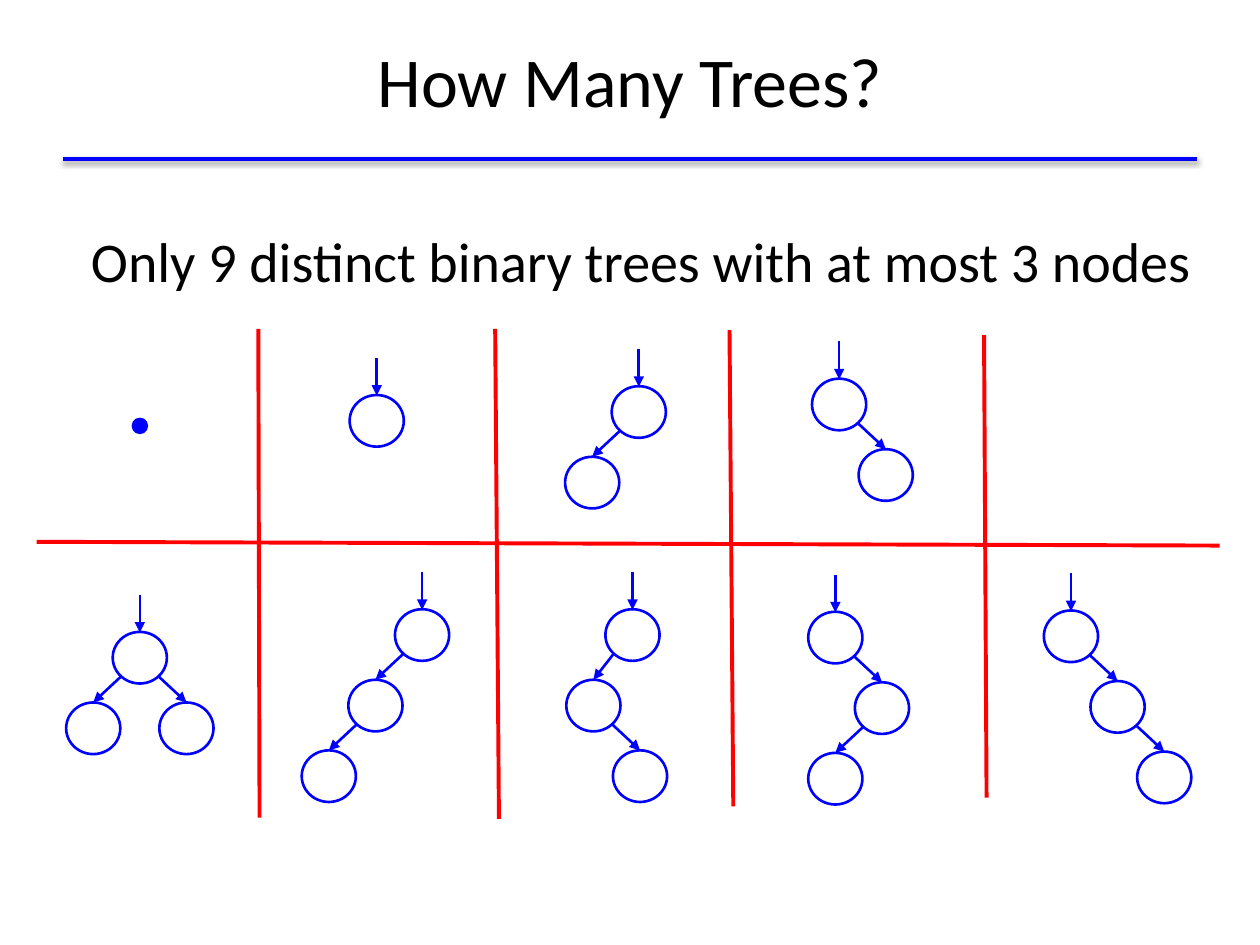
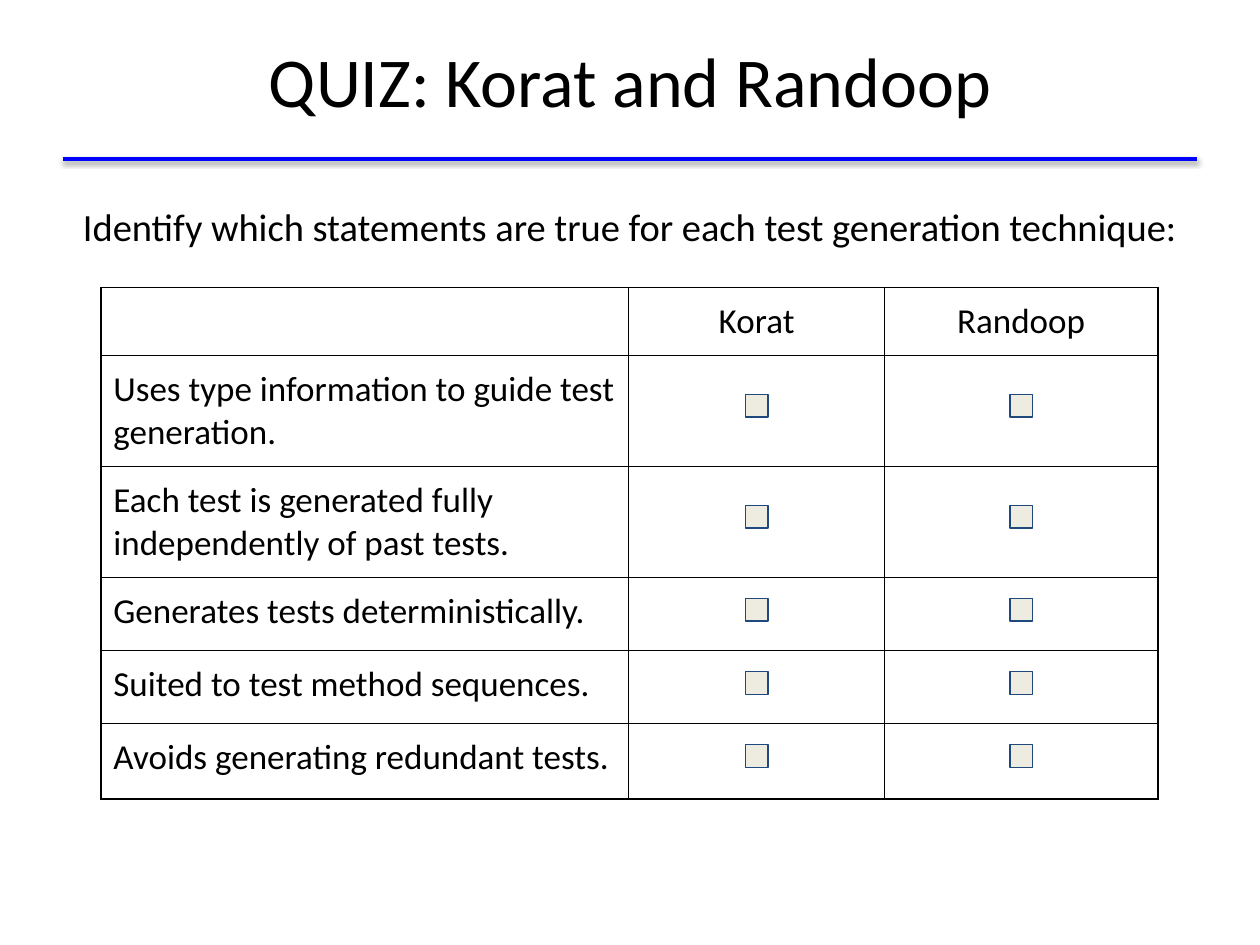
"""Build two lecture slides: the binary trees with at most three nodes, and a test generation quiz."""
from dataclasses import dataclass

from lxml.etree import SubElement
from pptx import Presentation
from pptx.dml.color import RGBColor as Rgb
from pptx.enum.shapes import MSO_CONNECTOR as Connector, MSO_SHAPE as Shape
from pptx.enum.text import MSO_ANCHOR as Anchor, MSO_AUTO_SIZE as AutoSize, PP_ALIGN as Align
from pptx.oxml.ns import qn
from pptx.util import Inches, Pt


@dataclass(frozen=True)
class Theme:
    font: str = "Calibri"
    ink: Rgb = Rgb(0, 0, 0)
    paper: Rgb = Rgb(255, 255, 255)
    blue: Rgb = Rgb(0, 0, 255)
    red: Rgb = Rgb(255, 0, 0)
    check_fill: Rgb = Rgb(0xEE, 0xEC, 0xE1)
    check_edge: Rgb = Rgb(0x1F, 0x49, 0x7D)
    title: int = 40
    statement: int = 32
    question: int = 22
    cell: int = 20


theme = Theme()
deck = Presentation()
deck.slide_width, deck.slide_height = Inches(10), Inches(7.5)
column = deck.slide_width / 10


def grid(*lengths):
    return [round(length * column) for length in lengths]


def draw_line(slide, ends, color, width, arrow=False):
    line = slide.shapes.add_connector(Connector.STRAIGHT, *grid(*ends))
    line.line.color.rgb = color
    line.line.width = Pt(width)
    properties = line.element.spPr
    if arrow:
        SubElement(properties.find(qn("a:ln")), qn("a:tailEnd"), type="triangle")
    return line, SubElement(properties, qn("a:effectLst"))


layout = deck.slide_layouts[1]
heading = layout.placeholders[0]
heading.left, heading.top, heading.width, heading.height = grid(0.5, 0.01, 9, 1.25)

pages = [
    ("How Many Trees?", "Only 9 distinct binary trees with at most 3 nodes",
     (0.5, 1.75, 9.18, 0.86), theme.statement, 0.38),
    ("QUIZ: Korat and Randoop", "Identify which statements are true for each test generation technique:",
     (0.5, 1.56, 9, 0.77), theme.question, 0),
]
for title, lead, area, lead_size, hanging in pages:
    slide = deck.slides.add_slide(layout)
    body = slide.placeholders[1]
    body.left, body.top, body.width, body.height = grid(*area)
    for holder, words, size in ((slide.shapes.title, title, theme.title), (body, lead, lead_size)):
        frame = holder.text_frame
        frame.text = words
        frame.auto_size = AutoSize.NONE
        paragraph = frame.paragraphs[0]
        paragraph.alignment = Align.CENTER
        font = paragraph.runs[0].font
        font.name, font.size, font.color.rgb = theme.font, Pt(size), theme.ink
    slide.shapes.title.text_frame.vertical_anchor = Anchor.MIDDLE
    indents = body.text_frame.paragraphs[0]._p.get_or_add_pPr()
    indents.set("marL", str(Inches(hanging)))
    indents.set("indent", str(-Inches(hanging)))
    SubElement(indents, qn("a:buNone"))

trees_slide, quiz_slide = deck.slides

title_rule, effects = draw_line(trees_slide, (0.5, 1.26, 9.5, 1.26), theme.blue, 2)
shadow = SubElement(effects, qn("a:outerShdw"), blurRad=str(Pt(3.1)), dist=str(Pt(1.6)),
                    dir="5400000", rotWithShape="0")
shade = SubElement(shadow, qn("a:srgbClr"), val=str(theme.ink))
SubElement(shade, qn("a:alpha"), val="38000")
layout.shapes.element.append(title_rule.element)

dividers = [
    (0.29, 4.3, 9.68, 4.33),
    (2.05, 2.61, 2.06, 6.49),
    (3.93, 2.61, 3.96, 6.5),
    (5.79, 2.62, 5.82, 6.4),
    (7.81, 2.66, 7.83, 6.33),
]
for divider in dividers:
    draw_line(trees_slide, divider, theme.red, 2.25)

node_width, node_height, empty_tree = 0.43, 0.41, 0.11
level, left, right = 0.56, -0.37, 0.37
trees = [
    (2.99, 3.34, []),
    (5.07, 3.27, [(0, left)]),
    (6.66, 3.21, [(0, right)]),
    (1.11, 5.22, [(0, left), (0, right)]),
    (3.35, 5.04, [(0, left), (1, left)]),
    (5.02, 5.04, [(0, -0.31), (1, right)]),
    (6.63, 5.06, [(0, right), (1, left)]),
    (8.5, 5.05, [(0, right), (1, right)]),
]
circles = [(1.11, 3.38, empty_tree, empty_tree, theme.blue)]
arrows = []
for root_x, root_y, branches in trees:
    nodes = [(root_x, root_y)]
    arrows.append((root_x, root_y - 0.5, root_x, root_y - 0.2))
    for parent, step in branches:
        x, y = nodes[parent]
        child_x, child_y = x + step, y + level
        nodes.append((child_x, child_y))
        side = 0.15 if step > 0 else -0.15
        arrows.append((x + side, y + 0.15, child_x, child_y - node_height / 2))
    circles += [(x, y, node_width, node_height, theme.paper) for x, y in nodes]

for x, y, width, height, fill in circles:
    node = trees_slide.shapes.add_shape(
        Shape.OVAL, *grid(x - width / 2, y - height / 2, width, height))
    node.shadow.inherit = False
    node.fill.solid()
    node.fill.fore_color.rgb = fill
    node.line.color.rgb, node.line.width = theme.blue, Pt(1.5)
for arrow in arrows:
    draw_line(trees_slide, arrow, theme.blue, 1.5, arrow=True)

statements = [
    ("", "Korat", "Randoop"),
    ("Uses type information to guide test generation.", "", ""),
    ("Each test is generated fully independently of past tests.", "", ""),
    ("Generates tests deterministically.", "", ""),
    ("Suited to test method sequences.", "", ""),
    ("Avoids generating redundant tests.", "", ""),
]
table_left, table_top = 0.8, 2.28
widths = [4.19, 2.03, 2.17]
heights = [0.54, 0.88, 0.88, 0.58, 0.58, 0.6]
quiz = quiz_slide.shapes.add_table(
    len(heights), len(widths), *grid(table_left, table_top, sum(widths), sum(heights))).table
quiz.first_row = quiz.horz_banding = False
for table_column, width in zip(quiz.columns, grid(*widths)):
    table_column.width = width
for table_row, height in zip(quiz.rows, grid(*heights)):
    table_row.height = height

for row, texts in enumerate(statements):
    for col, words in enumerate(texts):
        cell = quiz.cell(row, col)
        cell.margin_left = cell.margin_right = cell.margin_top = cell.margin_bottom = Inches(0.1)
        for edge in ("a:lnL", "a:lnR", "a:lnT", "a:lnB"):
            border = SubElement(cell._tc.get_or_add_tcPr(), qn(edge), w=str(Pt(1)))
            SubElement(SubElement(border, qn("a:solidFill")), qn("a:srgbClr"), val=str(theme.ink))
        cell.fill.background()
        cell.text_frame.text = words
        paragraph = cell.text_frame.paragraphs[0]
        paragraph.alignment = Align.CENTER if col else Align.LEFT
        for run in paragraph.runs:
            run.font.name, run.font.size = theme.font, Pt(theme.cell)
            run.font.color.rgb = theme.ink

check_size = 0.18
for col in (1, 2):
    check_left = table_left + sum(widths[:col]) + (widths[col] - check_size) / 2
    for row in range(1, len(heights)):
        drop = 0.31 if heights[row] > 0.6 else 0.17
        check_top = table_top + sum(heights[:row]) + drop
        check = quiz_slide.shapes.add_shape(
            Shape.RECTANGLE, *grid(check_left, check_top, check_size, check_size))
        check.shadow.inherit = False
        check.fill.solid()
        check.fill.fore_color.rgb = theme.check_fill
        check.line.color.rgb, check.line.width = theme.check_edge, Pt(0.75)

deck.save("out.pptx")
